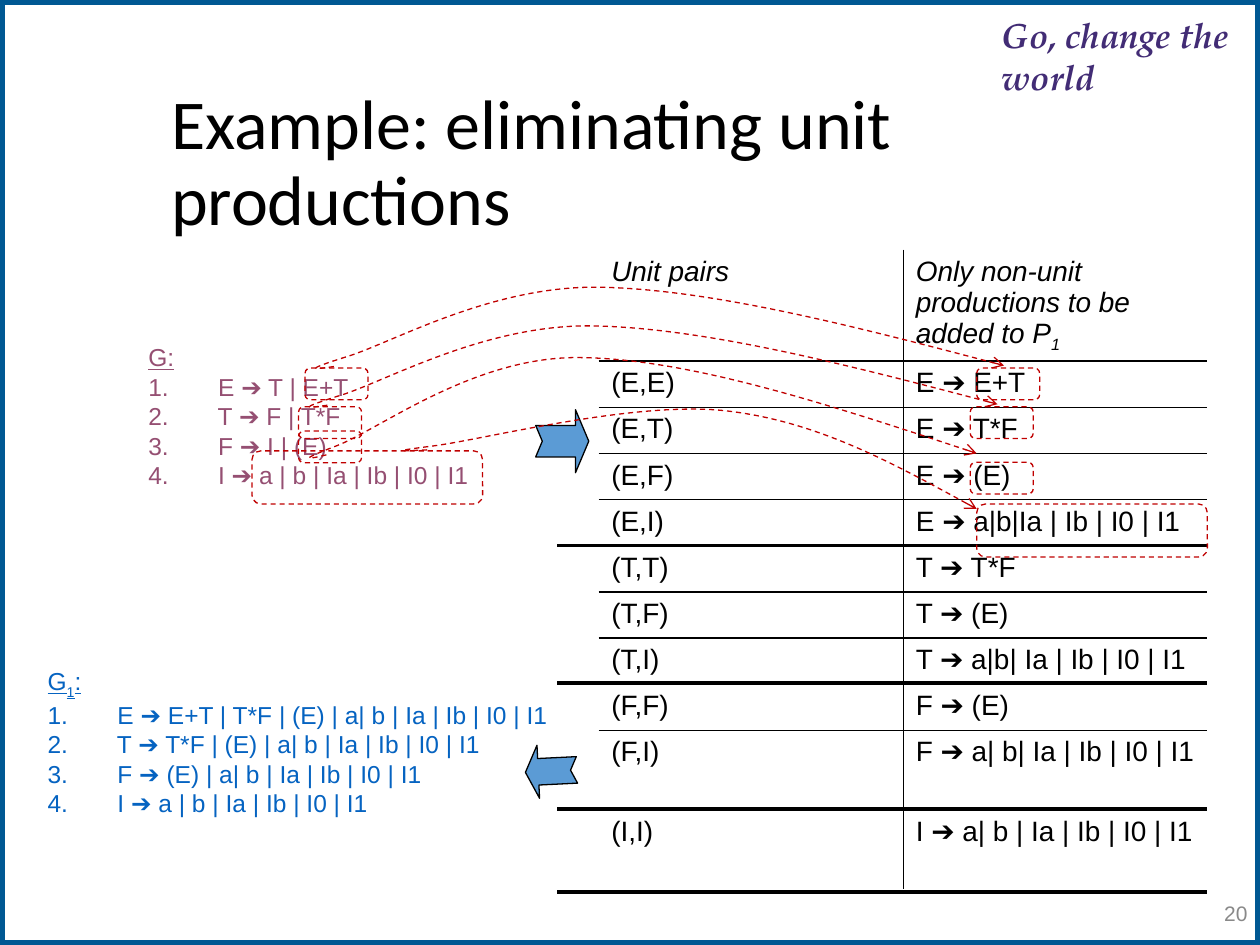
from dataclasses import dataclass

from lxml.etree import SubElement
from pptx import Presentation
from pptx.dml.color import RGBColor
from pptx.enum.dml import MSO_LINE as Dash
from pptx.enum.shapes import MSO_CONNECTOR as Link, MSO_SHAPE as Kind
from pptx.enum.text import MSO_ANCHOR as Anchor, MSO_AUTO_SIZE as Fit, PP_ALIGN as Align
from pptx.oxml.ns import qn
from pptx.util import Cm, Pt

INK, RED, BLUE = "000000", "C00000", "5B9BD5"
Point = tuple[float, float]


@dataclass
class Run:
    text: str
    size: float = 14
    color: str = INK
    font: str = "Arial"
    bold: bool = False
    slant: bool = False
    under: bool = False
    sub: bool = False
    track: int = 0


@dataclass
class Trace:
    """Two dashed boxes and the curve that leads from one to the other."""
    start: Point
    end: Point
    size: Point
    curve: list[Point]  # start point, then three points per Bezier part


def paint(part, color: str) -> None:
    part.solid()
    part.fore_color.rgb = RGBColor.from_string(color)


def stroke(line, color: str, width: float, dash: bool = False) -> None:
    paint(line.fill, color)
    line.width = Pt(width)
    if dash:
        line.dash_style = Dash.DASH


def write(para, runs: list[Run]) -> None:
    for item in runs:
        run = para.add_run()
        run.text = item.text
        font = run.font
        font.name, font.size = item.font, Pt(item.size)
        font.bold, font.italic, font.underline = item.bold, item.slant, item.under
        paint(font.fill, item.color)
        props = run._r.get_or_add_rPr()
        if item.sub:
            props.set("baseline", "-25000")
        if item.track:
            props.set("spc", str(item.track))


def add_text(slide, x: float, y: float, w: float, h: float, runs: list[Run]):
    frame = slide.shapes.add_textbox(Cm(x), Cm(y), Cm(w), Cm(h)).text_frame
    frame.word_wrap = True
    write(frame.paragraphs[0], runs)
    return frame


def add_shape(shapes, kind, x: float, y: float, w: float, h: float, fill: str = ""):
    shape = shapes.add_shape(kind, Cm(x), Cm(y), Cm(w), Cm(h))
    shape.shadow.inherit = False
    if fill:
        paint(shape.fill, fill)
    else:
        shape.fill.background()
    return shape


def add_rules(slide, x: float, y: float, w: float, head: list[Run], rules: list[str]) -> None:
    """A grammar: an underlined heading and its numbered rules."""
    frame = add_text(slide, x, y, w, 3.2, head)
    frame.word_wrap = False
    frame.auto_size = Fit.SHAPE_TO_FIT_TEXT
    for rule in rules:
        write(frame.add_paragraph(), [Run(" " + rule, color=head[0].color)])
    for num, para in enumerate(frame.paragraphs):
        para.level = 1
        props = para._p.get_or_add_pPr()
        props.set("marL", str(Cm(3.81)))
        props.set("indent", str(Cm(-1.27)))
        if num:
            SubElement(props, qn("a:buAutoNum"), type="arabicPeriod")


def set_edges(cell, shown: str) -> None:
    props = cell._tc.get_or_add_tcPr()
    for side in "LRTB":
        edge = SubElement(props, qn(f"a:ln{side}"), w=str(Pt(1)))
        if side in shown:
            fill = SubElement(edge, qn("a:solidFill"))
            SubElement(fill, qn("a:srgbClr"), val=INK)
        else:
            SubElement(edge, qn("a:noFill"))
    cell.fill.background()


def add_pairs(slide, rows: list[tuple[list[Run], list[Run]]]) -> None:
    last = len(rows) - 1
    highs = [2.25] + [0.93] * 8 + [1.6] * 2
    table = slide.shapes.add_table(
        len(rows), 2, Cm(12.07), Cm(5.03), Cm(12.27), Cm(sum(highs))).table
    table.first_row = table.horz_banding = False
    for col, wide in zip(table.columns, (6.14, 6.13)):
        col.width = Cm(wide)
    for y, (row, high) in enumerate(zip(rows, highs)):
        table.rows[y].height = Cm(high)
        for x, runs in enumerate(row):
            cell = table.cell(y, x)
            # No bottom margin, so that no row outgrows its height
            cell.margin_bottom = 0
            write(cell.text_frame.paragraphs[0], runs)
            set_edges(cell, "RL"[x] + ("T" if y else "") + ("B" if y < last else ""))


def add_curve(shapes, points: list[Point]) -> None:
    spots = [(Cm(x), Cm(y)) for x, y in points]
    maker = shapes.build_freeform(*spots[0])
    maker.add_line_segments(spots[1:], close=False)
    shape = maker.convert_to_shape()
    shape.shadow.inherit = False
    shape.fill.background()
    stroke(shape.line, RED, 0.75, True)
    SubElement(shape.line._get_or_add_ln(), qn("a:tailEnd"), type="arrow")
    # Merge each three straight steps into one Bezier part
    track = next(shape._element.iter(qn("a:path")))
    steps = track.findall(qn("a:lnTo"))
    for i in range(0, len(steps), 3):
        bend = SubElement(track, qn("a:cubicBezTo"))
        for step in steps[i:i + 3]:
            bend.append(step[0])
            track.remove(step)


def add_trace(slide, trace: Trace) -> None:
    shapes = slide.shapes.add_group_shape().shapes
    for spot in (trace.start, trace.end):
        box = add_shape(shapes, Kind.ROUNDED_RECTANGLE, *spot, *trace.size)
        stroke(box.line, RED, 0.75, True)
    add_curve(shapes, trace.curve)


def main() -> None:
    deck = Presentation()
    deck.slide_width, deck.slide_height = Cm(25.4), Cm(19.05)
    slide = deck.slides.add_slide(deck.slide_layouts[6])

    # Frame, motto, title
    frame = add_shape(slide.shapes, Kind.RECTANGLE, 0, 0, 25.4, 19.05, "FFFFFF")
    stroke(frame.line, "005893", 6)
    look = dict(size=20, color="422C75", font="TeX Gyre Pagella", bold=True, slant=True)
    motto = add_text(slide, 20.17, 0.25, 5.2, 1.57, [
        Run("Go, change ", track=-10, **look), Run("the ", **look),
        Run("world", track=-10, **look)])
    motto.margin_left = motto.margin_right = motto.margin_bottom = 0
    motto.margin_top = Cm(0.03)
    motto.paragraphs[0]._p.get_or_add_pPr().set("marL", str(Cm(0.03)))
    title = add_text(slide, 3.2, 1.73, 21.64, 3.18, [
        Run("Example: eliminating unit productions", 40, font="Calibri")])
    title.vertical_anchor = Anchor.MIDDLE
    title.paragraphs[0].line_spacing = 0.9

    # Table of unit pairs
    head = ([Run("Unit pairs", 16, slant=True)],
            [Run("Only non-unit productions to be added to P", 16, slant=True),
             Run("1", 16, slant=True, sub=True)])
    pairs = [
        ("(E,E)", "E ➔ E+T"), ("(E,T)", "E ➔ T*F"), ("(E,F)", "E ➔ (E)"),
        ("(E,I)", "E ➔ a|b|Ia | Ib | I0 | I1"), ("(T,T)", "T ➔ T*F"),
        ("(T,F)", "T ➔ (E)"), ("(T,I)", "T ➔ a|b| Ia | Ib | I0 | I1"),
        ("(F,F)", "F ➔ (E)"), ("(F,I)", "F ➔ a| b| Ia | Ib | I0 | I1"),
        ("(I,I)", "I ➔ a| b | Ia | Ib | I0 | I1")]
    add_pairs(slide, [head] + [([Run(a, 16)], [Run(b, 16)]) for a, b in pairs])

    # Slide number
    page = add_text(slide, 20.12, 17.78, 5.28, 1.27, [Run("20", 12, "898989")])
    page.vertical_anchor = Anchor.MIDDLE
    page.paragraphs[0].alignment = Align.RIGHT

    # Grammars and block arrows
    add_rules(slide, 0.2, 6.78, 9.6, [Run("G:", color="954F72", under=True)], [
        "E ➔ T | E+T", "T ➔ F | T*F", "F ➔ I | (E)", "I ➔ a | b | Ia | Ib | I0 | I1"])
    for x, y, w, h, turn in ((10.8, 8.26, 1.07, 1.27, 0), (10.59, 15.01, 1.04, 1.07, 177.2)):
        arrow = add_shape(slide.shapes, Kind.NOTCHED_RIGHT_ARROW, x, y, w, h, BLUE)
        arrow.adjustments[0], arrow.adjustments[1] = 0.5, 0.25
        arrow.rotation = turn
        stroke(arrow.line, INK, 0.75)
    link = dict(color="0563C1", under=True)
    add_rules(slide, -1.83, 13.31, 13.26, [
        Run("G", **link), Run("1", sub=True, **link), Run(":", **link)], [
        "E ➔ E+T | T*F | (E) | a| b | Ia | Ib | I0 | I1",
        "T ➔ T*F | (E) | a| b | Ia | Ib | I0 | I1",
        "F ➔ (E) | a| b | Ia | Ib | I0 | I1", "I ➔ a | b | Ia | Ib | I0 | I1"])

    # Heavy lines below each group of pairs
    for y in (11, 13.77, 16.31, 17.98):
        bar = slide.shapes.add_connector(Link.STRAIGHT, Cm(11.23), Cm(y), Cm(24.33), Cm(y))
        stroke(bar.line, INK, 2)
        SubElement(bar._element.spPr, qn("a:effectLst"))

    # Traces from grammar to table
    small = (1.27, 0.64)
    arc = [(6.73, 7.39), (6.38, 7.44), (6.05, 7.49), (6.93, 7.21), (7.82, 6.96),
           (9.83, 5.77), (12.04, 5.79), (14.25, 5.82), (17.25, 6.58), (20.24, 7.37)]
    traces = [
        Trace((6.15, 7.42), (19.69, 7.42), small, arc),
        Trace((6.02, 8.2), (19.56, 8.2), small, [(x - 0.13, y + 0.78) for x, y in arc]),
        Trace((6.02, 8.69), (19.56, 9.32), small, [
            (6.58, 9.17), (6.25, 9.25), (5.92, 9.32), (6.78, 8.99), (7.65, 8.66),
            (9.58, 7.16), (11.73, 7.21), (13.89, 7.24), (16.79, 8.18), (19.69, 9.14)]),
        Trace((5.08, 9.09), (19.69, 10.16), (4.65, 1.07), [
            (8.61, 9.07), (8.15, 9.09), (7.72, 9.12), (8.74, 8.99), (9.75, 8.86),
            (12.78, 8.08), (14.61, 8.28), (16.43, 8.48), (18.06, 9.37), (19.69, 10.26)])]
    for trace in traces:
        add_trace(slide, trace)

    deck.save("out.pptx")


if __name__ == "__main__":
    main()
